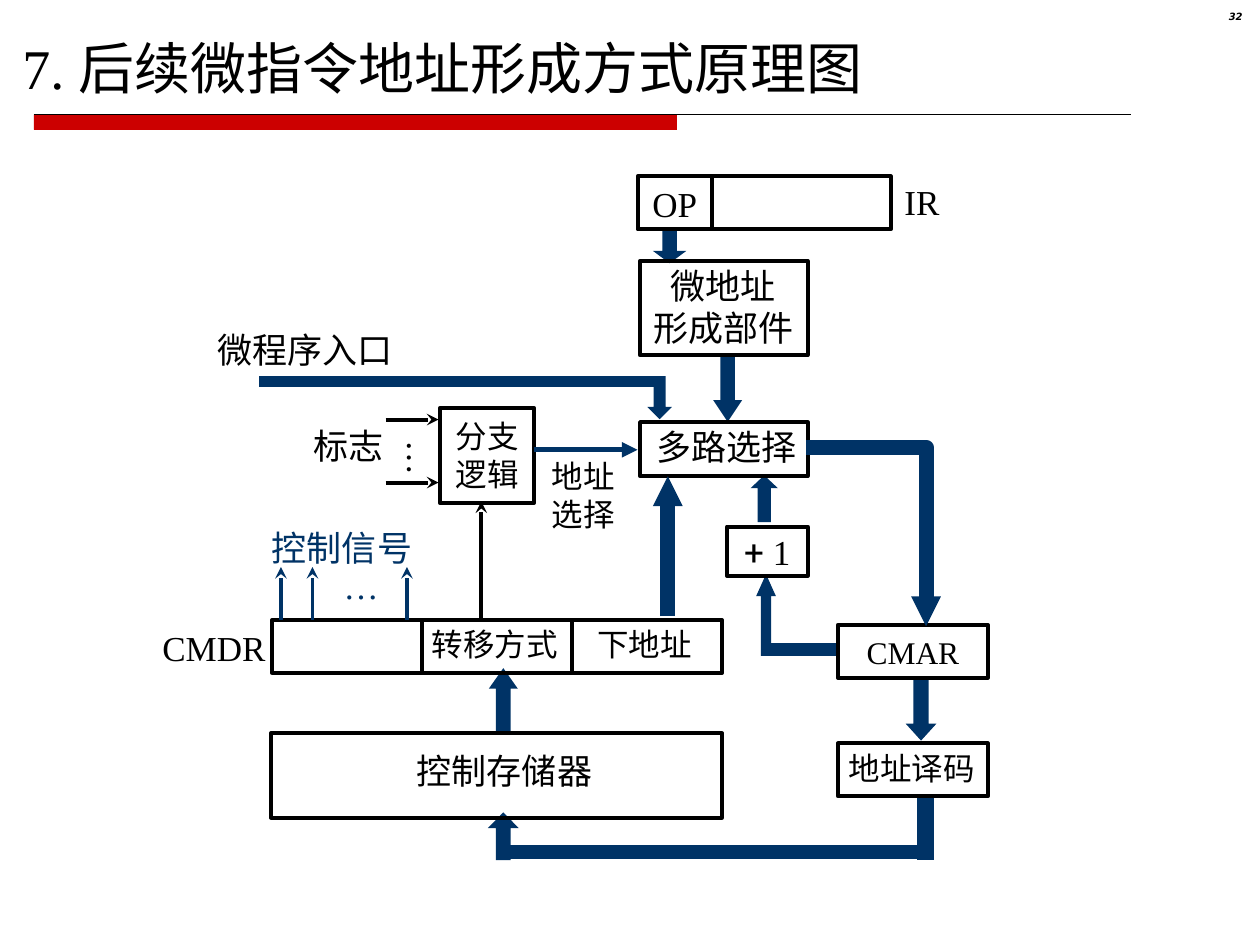
"""Draw the schematic of how the next microinstruction address is formed."""
from dataclasses import dataclass

from lxml import etree
from pptx import Presentation
from pptx.dml.color import RGBColor
from pptx.enum.shapes import MSO_CONNECTOR, MSO_SHAPE
from pptx.enum.text import MSO_ANCHOR, MSO_AUTO_SIZE, PP_ALIGN
from pptx.oxml.ns import qn
from pptx.util import Emu, Inches, Pt

RECT, UP, DOWN = MSO_SHAPE.RECTANGLE, MSO_SHAPE.UP_ARROW, MSO_SHAPE.DOWN_ARROW
STRAIGHT = MSO_CONNECTOR.STRAIGHT
LEFT, CENTER, RIGHT = PP_ALIGN.LEFT, PP_ALIGN.CENTER, PP_ALIGN.RIGHT
MIDDLE, TOP = MSO_ANCHOR.MIDDLE, MSO_ANCHOR.TOP
GROW, FIXED = MSO_AUTO_SIZE.SHAPE_TO_FIT_TEXT, MSO_AUTO_SIZE.NONE

COLORS = {"ink": "000000", "flow": "003366", "accent": "CC0000"}
SERIF, SANS, SYMBOL = "Times New Roman", "DejaVu Sans", "Roboto"
WIDTH, HEIGHT = Inches(10), Inches(7.5)
COLUMN, ROW = WIDTH / 100, HEIGHT / 75
Area = tuple[float, float, float, float]
Point = tuple[float, float]


@dataclass
class Span:
    text: str
    size: float = 20
    font: str = SERIF
    color: str = "ink"
    strong: bool = False


@dataclass
class Label:
    area: Area
    lines: list[list[Span]]
    align: PP_ALIGN = LEFT
    wrap: bool = False
    grow: bool = True
    spacing: float = 1.0
    direction: str = "horz"


@dataclass
class Box:
    area: Area
    spans: tuple[Span, ...] = ()
    inset: Point = (1, 0.5)


@dataclass
class Block:
    area: Area
    kind: MSO_SHAPE = RECT
    head: float = 0.5
    outline: float = 0.75
    color: str = "flow"


@dataclass
class Route:
    points: list[Point]
    color: str = "ink"
    width: float = 2.25
    head: str = "stealth"
    scale: str = "med"


def place(area: Area) -> list[Emu]:
    """Turn grid columns and rows into slide lengths."""
    return [Emu(round(n * unit)) for n, unit in zip(area, (COLUMN, ROW) * 2)]


def paint(color: str) -> RGBColor:
    """Look up a colour by its role."""
    return RGBColor.from_string(COLORS[color])


def write(frame, lines: list[list[Span]], align: PP_ALIGN, spacing: float = 1.0) -> None:
    """Fill a text frame run by run."""
    for index, spans in enumerate(lines):
        para = frame.add_paragraph() if index else frame.paragraphs[0]
        para.alignment = align
        para.line_spacing = spacing
        for span in spans:
            run = para.add_run()
            run.text = span.text
            run.font.size = Pt(span.size)
            run.font.name = span.font
            run.font.bold = run.font.italic = span.strong
            run.font.color.rgb = paint(span.color)


def draw_label(page, label: Label) -> None:
    """Add free-standing text."""
    frame = page.shapes.add_textbox(*place(label.area)).text_frame
    frame.word_wrap = label.wrap
    frame.vertical_anchor = TOP
    write(frame, label.lines, label.align, label.spacing)
    frame.auto_size = GROW if label.grow else FIXED
    frame._txBody.bodyPr.set("vert", label.direction)


def draw_box(page, box: Box) -> None:
    """Add an outlined register or unit."""
    shape = page.shapes.add_shape(RECT, *place(box.area))
    shape.shadow.inherit = False
    shape.fill.background()
    shape.line.color.rgb = paint("ink")
    shape.line.width = Pt(2.25)
    if box.spans:
        frame = shape.text_frame
        frame.word_wrap = False
        frame.vertical_anchor = MIDDLE
        frame.margin_left, frame.margin_top = place((*box.inset, 0, 0))[:2]
        write(frame, [list(box.spans)], CENTER)


def draw_block(page, block: Block) -> None:
    """Add a solid bar or block arrow with sharp corners."""
    shape = page.shapes.add_shape(block.kind, *place(block.area))
    shape.shadow.inherit = False
    if block.kind != RECT:
        shape.adjustments[0], shape.adjustments[1] = 0.5, block.head
    shape.fill.solid()
    shape.fill.fore_color.rgb = shape.line.color.rgb = paint(block.color)
    shape.line.width = Pt(block.outline)
    etree.SubElement(shape.line._get_or_add_ln(), qn("a:miter"), lim="800000")


def draw_route(page, route: Route) -> None:
    """Add a straight connector, or an open outline when the route bends."""
    spots = [tuple(place((*point, 0, 0))[:2]) for point in route.points]
    if len(spots) == 2:
        shape = page.shapes.add_connector(STRAIGHT, *spots[0], *spots[1])
        etree.SubElement(shape._element.spPr, qn("a:effectLst"))
    else:
        builder = page.shapes.build_freeform(*spots[0])
        builder.add_line_segments(spots[1:], close=False)
        shape = builder.convert_to_shape()
        shape.shadow.inherit = False
        shape.fill.background()
    shape.line.color.rgb = paint(route.color)
    shape.line.width = Pt(route.width)
    if route.head:
        etree.SubElement(shape.line._get_or_add_ln(), qn("a:tailEnd"),
                         type=route.head, w=route.scale, len=route.scale)


REGISTER = (11.9, 4.2)
LABELS = [
    Label((93.7, 0.5, 5.9, 2.3), [[Span("32", 5.7, SANS, strong=True)]],
          RIGHT, True, False, 0.8),
    Label((0.8, 2.2, 85.1, 6.4),
          [[Span("7. ", 32), Span("后续微指令地址形成方式原理图", 32, SANS)]], wrap=True),
    Label((42.8, 35.8, 7.2, 7), [[Span("地址", 18)], [Span("选择", 18)]]),
    Label((11.9, 49.2, 10.4, 4.4), [[Span("CMDR")]]),
    Label((32.1, 59, 16.1, 4.4), [[Span("控制存储器")]]),
    Label((26.3, 44.3, 5, 4.4), [[Span("…", color="flow")]]),
    Label((20.6, 41.3, 13.3, 4.4), [[Span("控制信号", color="flow")]]),
    Label((34.9, 32.6, 7.5, 7), [[Span("分支", 18)], [Span("逻辑", 18)]], CENTER),
    Label((30.3, 34, 5.3, 3.8), [[Span("…")]], direction="eaVert"),
    Label((23.9, 33.2, 7.8, 4.4), [[Span("标志")]]),
    Label((16.3, 25.6, 16.1, 4.4), [[Span("微程序入口")]]),
    Label((50.8, 14, 6, 4.4), [[Span("OP")]]),
    Label((70.8, 13.8, 5, 4.4), [[Span("IR")]]),
    Label((50.7, 20.5, 13.4, 7.7), [[Span("微地址")], [Span("形成部件")]], CENTER),
    Label((50.8, 33.3, 13.7, 4.4), [[Span("多路选择")]], CENTER),
]
BOXES = [
    Box((57.7, 41.8, 6.4, 3.9), (Span("+", font=SYMBOL), Span(" 1"))),
    Box((66.5, 49.6, *REGISTER), (Span("CMAR", 18),)),
    Box((66.5, 59, *REGISTER), (Span("地址译码", 18),), (0.8, 0.2)),
    *(Box((21.6 + i * REGISTER[0], 49.2, *REGISTER), spans, (0.6, 0.1))
      for i, spans in enumerate([(), (Span("转移方式", 18),), (Span("下地址", 18),)])),
    Box((21.5, 58.2, 35.8, 6.7)),
    Box((34.9, 32.4, 7.5, 7.5)),
    Box((50.6, 14, 5.9, 4.2)),
    Box((56.5, 14, 14.2, 4.2)),
    Box((50.8, 20.7, 13.3, 7.5)),
    Box((50.8, 33.5, 13.3, 4.3)),
]
BLOCKS = [
    Block((2.7, 9.1, 51, 1.2), color="accent", outline=0.25),
    Block((72, 53.8, 2.2, 4.9), DOWN, 0.55),
    Block((39.1, 53.3, 1.7, 4.7), UP, 0.71, 2.25),
    Block((56.9, 28.2, 1.7, 5), DOWN, 0.75, 2.25),
    Block((52.3, 18.2, 1.7, 2.5), DOWN, 0.37, 2.25),
    Block((20.6, 29.9, 31.7, 0.8)),
    Block((51.5, 29.9, 1.7, 3.3), DOWN),
    Block((72.8, 63.2, 1.3, 5)),
    Block((59.7, 37.8, 1.9, 3.6), UP, 0.47),
    Block((60.8, 51.1, 5.7, 0.9)),
    Block((60.1, 45.7, 1.4, 6.3), UP, 1.11),
    Block((39.8, 67.1, 33.5, 1)),
    Block((39.1, 64.7, 1.7, 3.4), UP, 0.51, 2.25),
]
ROUTES = [
    Route([(2.7, 9.1), (89.8, 9.1)], width=0.75, head=""),
    Route([(42.4, 35.7), (50.6, 35.7)], "flow", 3, "triangle"),
    Route([(38.2, 49.1), (38.2, 39.8)]),
    *(Route([(x, 49.2), (x, 45)], "flow") for x in (22.3, 24.8, 32.3)),
    *(Route([(30.6, y), (34.8, y)]) for y in (33.3, 38.3)),
    Route([(64, 35.5), (73.5, 35.5), (73.5, 49.7)], "flow", 8.5, "triangle", "sm"),
    Route([(53, 48.9), (53, 37.8)], "flow", 8.5, "triangle", "sm"),
]


def main() -> None:
    """Build and save the slide."""
    deck = Presentation()
    deck.slide_width, deck.slide_height = WIDTH, HEIGHT
    page = deck.slides.add_slide(deck.slide_layouts[6])
    for draw, items in ((draw_block, BLOCKS), (draw_label, LABELS),
                        (draw_box, BOXES), (draw_route, ROUTES)):
        for item in items:
            draw(page, item)
    deck.save("out.pptx")


if __name__ == "__main__":
    main()
